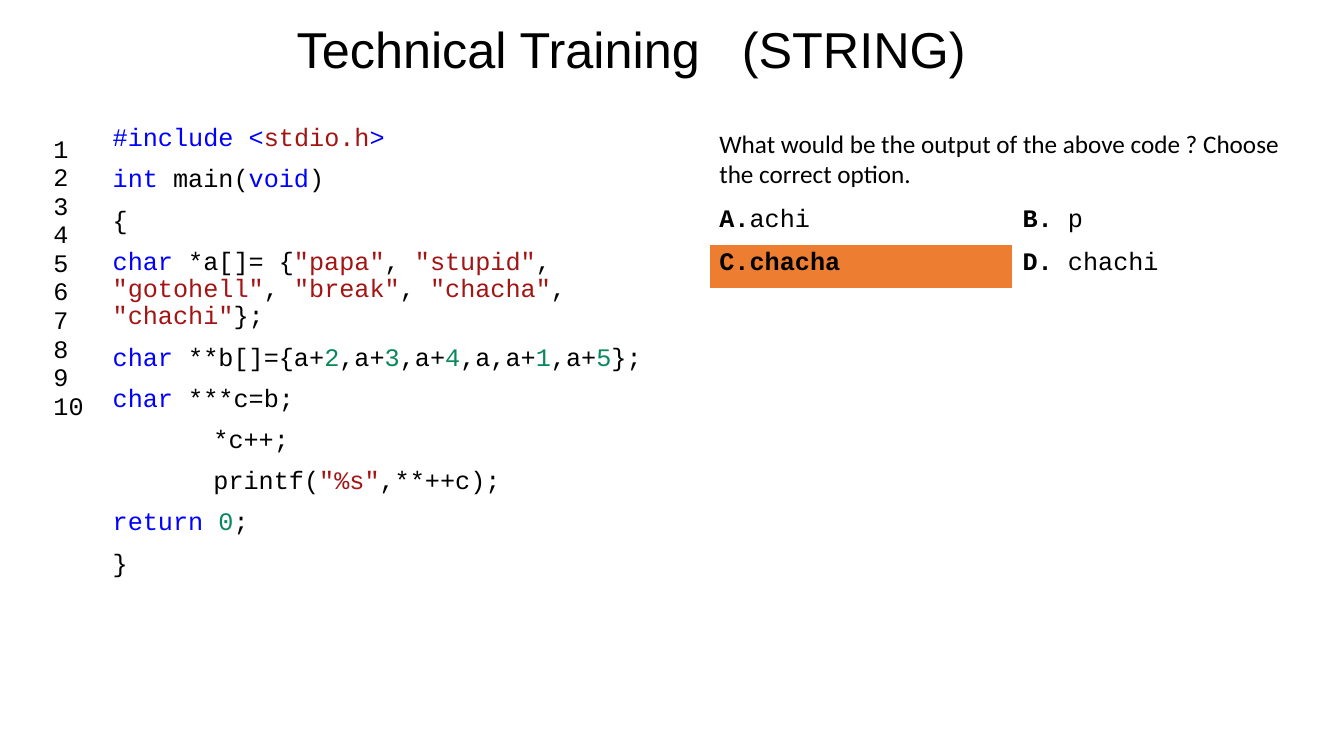
from pptx import Presentation
from pptx.dml.color import RGBColor
from pptx.enum.text import MSO_ANCHOR, MSO_AUTO_SIZE, PP_ALIGN
from pptx.util import Inches, Pt

BLACK, WHITE, ORANGE = "000000", "FFFFFF", "ED7D31"
KEYWORD, STRING, NUMBER = "0000FF", "A31515", "09885A"
CODE_FONT, QUESTION_FONT, TITLE_FONT = "Courier New", "Calibri", "Arial"

WORDS = ["papa", "stupid", "gotohell", "break", "chacha", "chachi"]
OFFSETS = ["a+2", "a+3", "a+4", "a", "a+1", "a+5"]


def color(hex_string):
    return RGBColor.from_string(hex_string)


def word_list():
    """Runs of the string array, with commas between the words."""
    runs = []
    for word in WORDS:
        runs += [(f'"{word}"', STRING), (", ", BLACK)]
    return runs[:-1]


def offset_list():
    """Runs of the pointer array, with each digit as a number."""
    return [(char, NUMBER if char.isdigit() else BLACK)
            for char in ",".join(OFFSETS)]


# Each line of code: indent in inches, then its coloured runs
CODE = [
    (0, [("#include <", KEYWORD), ("stdio.h", STRING), (">", KEYWORD)]),
    (0, [("int", KEYWORD), (" main(", BLACK), ("void", KEYWORD), (")", BLACK)]),
    (0, [("{", BLACK)]),
    (0, [("char", KEYWORD), (" *a[]= {", BLACK), *word_list(), ("};", BLACK)]),
    (0, [("char", KEYWORD), (" **b[]={", BLACK), *offset_list(), ("};", BLACK)]),
    (0, [("char", KEYWORD), (" ***c=b;", BLACK)]),
    (1, [("*c++;", BLACK)]),
    (1, [("printf(", BLACK), ('"%s"', STRING), (",**++c);", BLACK)]),
    (0, [("return ", KEYWORD), ("0", NUMBER), (";", BLACK)]),
    (0, [("}", BLACK)]),
]

QUESTION = ("What would be the output of the above code ? "
            "Choose the correct option.")
# Each option: bold part, plain part, fill
OPTIONS = [
    [("A.", "achi", WHITE), ("B.", " p", WHITE)],
    [("C.chacha", "", ORANGE), ("D.", " chachi", WHITE)],
]


class QuizSlide:
    def __init__(self, presentation):
        self.slide = presentation.slides.add_slide(presentation.slide_layouts[5])

    def style(self, paragraph, font=CODE_FONT, size=18):
        paragraph.font.name = font
        paragraph.font.size = Pt(size)
        paragraph.font.color.rgb = color(BLACK)

    def title(self, topic, subject):
        title = self.slide.shapes.title
        title.left, title.top = Inches(2.29), Inches(0.13)
        title.width, title.height = Inches(7.95), Inches(0.7)
        title.text_frame.vertical_anchor = MSO_ANCHOR.TOP
        title.text_frame.auto_size = MSO_AUTO_SIZE.NONE
        heading = title.text_frame.paragraphs[0]
        heading.alignment = PP_ALIGN.CENTER
        for text in (topic, " ", subject):
            run = heading.add_run()
            run.text = text
            if text == " ":
                run._r.get_or_add_rPr().set("spc", "2000")
        self.style(heading, TITLE_FONT, 36)

    def code(self, left, top, width, height, lines):
        listing = self.slide.shapes.add_textbox(
            Inches(left), Inches(top), Inches(width), Inches(height)).text_frame
        listing.word_wrap = True
        for number, (indent, runs) in enumerate(lines):
            line = listing.add_paragraph() if number else listing.paragraphs[0]
            line.line_spacing = 0.9
            line.space_before = Pt(10 if number else 0)
            if indent:
                line._p.get_or_add_pPr().set("marL", str(Inches(indent)))
            for text, hex_string in runs:
                run = line.add_run()
                run.text = text
                run.font.color.rgb = color(hex_string)
            self.style(line)

    def table(self, left, top, column_widths, row_heights):
        """Add a plain table without header or banding."""
        table = self.slide.shapes.add_table(
            len(row_heights), len(column_widths), Inches(left), Inches(top),
            Inches(sum(column_widths)), Inches(sum(row_heights))).table
        table.first_row = table.horz_banding = False
        for column, width in zip(table.columns, column_widths):
            column.width = Inches(width)
        for row, height in zip(table.rows, row_heights):
            row.height = Inches(height)
        for cell in table.iter_cells():
            cell.fill.background()
        return table

    def line_numbers(self, left, top, width, height, count):
        cell = self.table(left, top, [width], [height]).cell(0, 0)
        cell.margin_top = Inches(0.13)
        cell.text = "\n".join(str(number) for number in range(1, count + 1))
        for paragraph in cell.text_frame.paragraphs:
            self.style(paragraph)

    def question(self, left, top, question, options):
        table = self.table(left, top, [3.01, 3.01], [0.77, 0.43, 0.43])
        prompt = table.cell(0, 0)
        prompt.merge(table.cell(0, 1))
        prompt.text = question
        self.style(prompt.text_frame.paragraphs[0], QUESTION_FONT)
        for row, pair in enumerate(options, start=1):
            for column, (label, answer, fill) in enumerate(pair):
                cell = table.cell(row, column)
                cell.fill.solid()
                cell.fill.fore_color.rgb = color(fill)
                option = cell.text_frame.paragraphs[0]
                for text, bold in ((label, True), (answer, False)):
                    if text:
                        run = option.add_run()
                        run.text = text
                        run.font.bold = bold
                self.style(option)


def main():
    presentation = Presentation()
    presentation.slide_width = Inches(13.34)
    presentation.slide_height = Inches(7.5)
    quiz = QuizSlide(presentation)
    quiz.line_numbers(0.43, 1.23, 0.59, 3.4, len(CODE))
    quiz.question(7.04, 1.23, QUESTION, OPTIONS)
    quiz.code(1.02, 1.19, 5.64, 5.63, CODE)
    quiz.title("Technical Training", "(STRING)")
    presentation.save("out.pptx")


if __name__ == "__main__":
    main()
